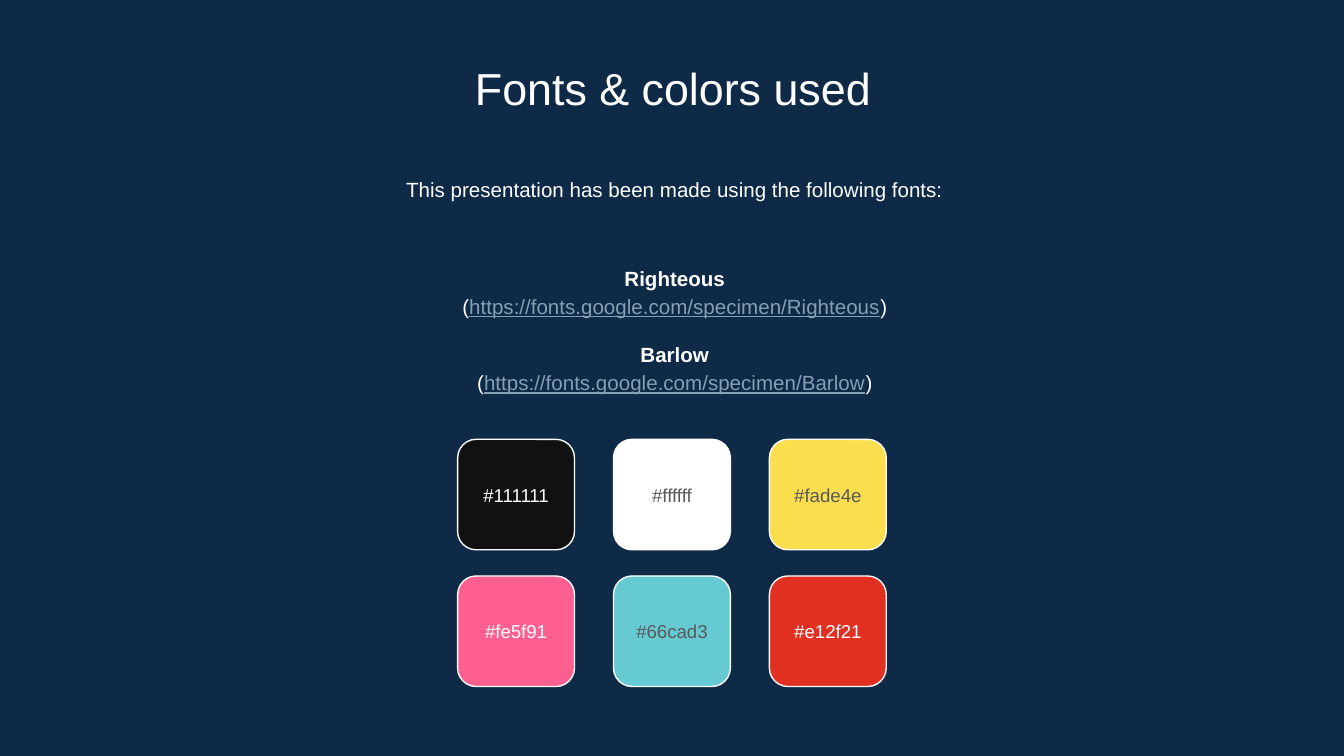
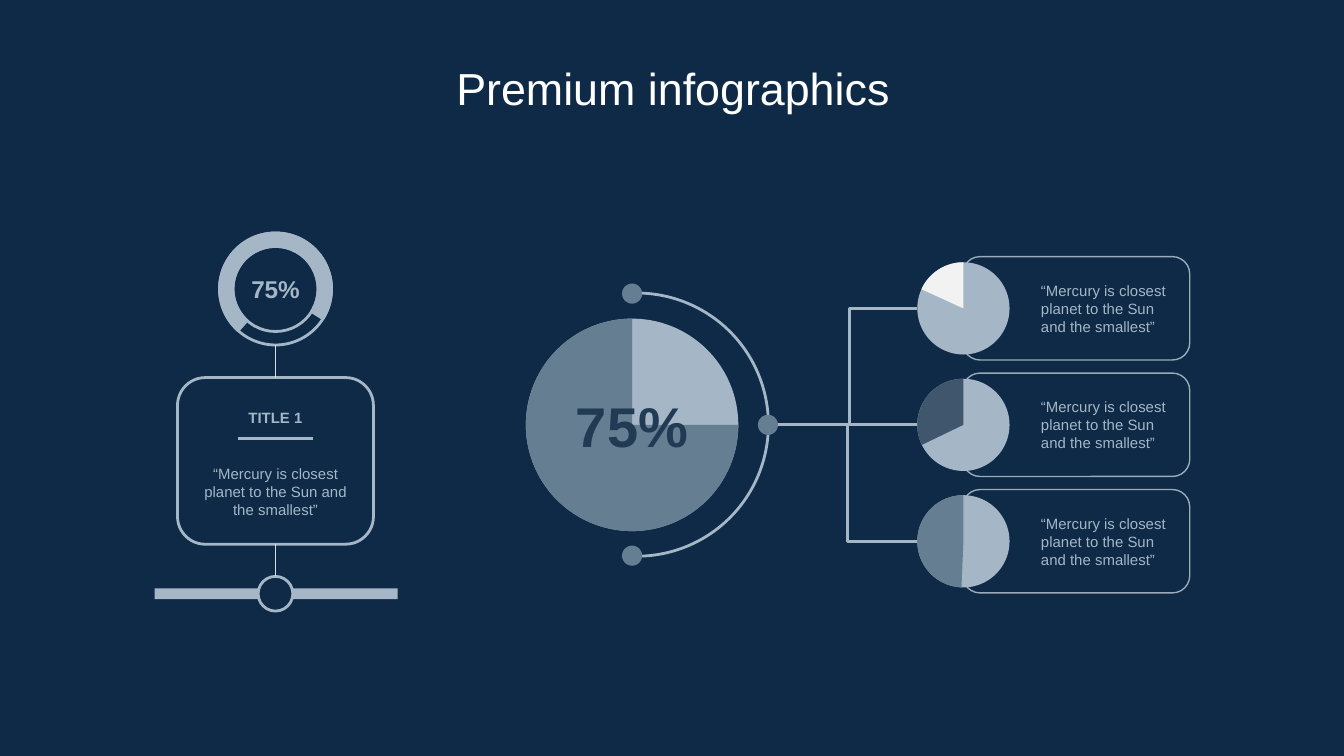
from lxml.etree import SubElement
from pptx import Presentation
from pptx.dml.color import RGBColor
from pptx.enum.shapes import MSO_CONNECTOR as Connector, MSO_SHAPE as Shape
from pptx.enum.text import MSO_ANCHOR as Anchor, MSO_AUTO_SIZE as AutoSize, PP_ALIGN as Align
from pptx.oxml.ns import qn
from pptx.util import Pt

COLORS = {
    "navy": "0E2A47",
    "white": "FFFFFF",
    "gray": "595959",
    "link": "869FB2",
    "mist": "A5B7C6",
    "pale": "D7DFE5",
    "outline": "9BABB9",
    "slate": "667E92",
    "steel": "40566D",
    "ink": "213B55",
    "light": "F2F2F2",
    "swatch black": "111111",
    "swatch yellow": "FADE4E",
    "swatch pink": "FE5F91",
    "swatch teal": "66CAD3",
    "swatch red": "E12F21",
}
RGB = {name: RGBColor.from_string(value) for name, value in COLORS.items()}
QUOTE = "“Mercury is closest planet to the Sun and the smallest”"
TOP = 16200000 / 100000  # twelve o'clock as an angle adjustment
ROUNDING = [0.167]


def add_shape(shapes, kind, box, fill=None, line=None, width=1.5, adjustments=()):
    shape = shapes.add_shape(kind, *map(Pt, box))
    shape.shadow.inherit = False
    for index, value in enumerate(adjustments):
        shape.adjustments[index] = value
    if fill:
        shape.fill.solid()
        shape.fill.fore_color.rgb = RGB[fill]
    else:
        shape.fill.background()
    if line:
        shape.line.color.rgb = RGB[line]
        shape.line.width = Pt(width)
    else:
        shape.line.fill.background()
    return shape


def set_text(shape, paragraphs, size, color, anchor=Anchor.MIDDLE, align=Align.CENTER, spacing=1.0):
    """Fill a shape; each paragraph is (space before, [(text, color or None, font values)])."""
    frame = shape.text_frame
    frame_values = {"word_wrap": True, "auto_size": AutoSize.NONE, "vertical_anchor": anchor}
    for side in ("left", "right", "top", "bottom"):
        frame_values[f"margin_{side}"] = Pt(7.2)
    for name, value in frame_values.items():
        setattr(frame, name, value)
    for index, (space_before, runs) in enumerate(paragraphs):
        paragraph = frame.add_paragraph() if index else frame.paragraphs[0]
        paragraph_values = {"alignment": align, "line_spacing": spacing, "space_before": Pt(space_before)}
        for name, value in paragraph_values.items():
            setattr(paragraph, name, value)
        for text, run_color, font_values in runs:
            run = paragraph.add_run()
            run.text = text
            run.font.color.rgb = RGB[run_color or color]
            for name, value in {"name": "Arial", "size": Pt(size), "bold": False, **font_values}.items():
                setattr(run.font, name, value)


presentation = Presentation()
presentation.slide_width, presentation.slide_height = Pt(720), Pt(405)
background = presentation.slide_master.background.fill
background.solid()
background.fore_color.rgb = RGB["navy"]

slides = []
for title_text in ("Fonts & colors used", "Premium infographics"):
    slide = presentation.slides.add_slide(presentation.slide_layouts[5])
    title = slide.shapes.title
    title.left, title.top, title.width, title.height = map(Pt, (83, 25.2, 555, 38))
    set_text(title, [(0, [(title_text, None, {})])], 24, "white", Anchor.TOP)
    slides.append(slide)
fonts_slide, infographic_slide = slides

# Fonts and colors
intro = fonts_slide.shapes.add_textbox(*map(Pt, (84, 85.7, 555, 34.5)))
intro_text = "This presentation has been made using the following fonts:"
set_text(intro, [(0, [(intro_text, None, {})])], 11, "white", Anchor.TOP, spacing=1.15)

font_lines = []
for font_name in ("Righteous", "Barlow"):
    address = f"https://fonts.google.com/specimen/{font_name}"
    font_lines.append((10.5 if font_lines else 0, [(font_name, None, {"bold": True})]))
    font_lines.append((0, [("(", None, {}), (address, "link", {"underline": True}), (")", None, {})]))
font_list = fonts_slide.shapes.add_textbox(*map(Pt, (84, 126.7, 555, 98.6)))
set_text(font_list, font_lines, 11, "white", spacing=1.15)

swatches = [
    ("swatch black", "white"), ("white", "gray"), ("swatch yellow", "gray"),
    ("swatch pink", "white"), ("swatch teal", "gray"), ("swatch red", "white"),
]
for index, (fill, text_color) in enumerate(swatches):
    row, column = divmod(index, 3)
    box = (245.2 + column * 83.5, 235.4 + row * 73.2, 62.6, 59.2)
    swatch = add_shape(fonts_slide.shapes, Shape.ROUNDED_RECTANGLE, box, fill, "white", 0.75, ROUNDING)
    set_text(swatch, [(0, [(f"#{COLORS[fill].lower()}", None, {})])], 10, text_color)

# Title card with its ring and slider
shapes = infographic_slide.shapes
axis_x, middle_y = 147.6, 227.6
add_shape(shapes, Shape.RECTANGLE, (82.8, 315.2, 130.3, 5.8), "mist")
ring = shapes.add_group_shape().shapes
ring_box = (117.6, 124.8, 60, 60)
add_shape(ring, Shape.DONUT, ring_box, None, "mist", adjustments=[0.12])
add_shape(ring, Shape.BLOCK_ARC, ring_box, "mist", "mist", adjustments=[79.14, 19.26, 0.12])
card_box = (95.1, 202.3, 105, 89.3)
add_shape(shapes, Shape.ROUNDED_RECTANGLE, card_box, None, "mist", adjustments=ROUNDING)
add_shape(shapes, Shape.OVAL, (axis_x - 9.3, 308.8, 18.6, 18.6), "navy", "mist")

# Large pie inside its arc
add_shape(shapes, Shape.ARC, (270.7, 157, 141, 141), None, "mist", adjustments=[TOP, 52.98])

row_pitch = 62.4
side_pies = [(-1, "light", 122.72), (0, "steel", 92.53), (1, "slate", 55.44)]
pies = [((281.7, 170.7, 113.8, 113.8), "slate", 0)]
for row, slice_color, start in side_pies:
    center_y = middle_y + row * row_pitch
    card_box = (515.8, center_y - 27.7, 121.6, 55.4)
    add_shape(shapes, Shape.ROUNDED_RECTANGLE, card_box, None, "outline", 0.75, ROUNDING)
    pies.append(((491.4, center_y - 24.7, 49.4, 49.4), slice_color, start))
for box, slice_color, start in pies:
    pie = shapes.add_group_shape().shapes
    add_shape(pie, Shape.OVAL, box, "mist")
    add_shape(pie, Shape.PIE, box, slice_color, adjustments=[start, TOP])

for center_x, center_y in ((338.6, 157.3), (338.6, 297.7), (411.4, middle_y)):
    add_shape(shapes, Shape.OVAL, (center_x - 5.4, center_y - 5.4, 10.8, 10.8), "slate")

# Lines: kind, start, end, color, width, bend position
lines = [
    (Connector.STRAIGHT, (axis_x, 184.8), (axis_x, 202.3), "pale", 0.75, None),
    (Connector.STRAIGHT, (axis_x, 291.6), (axis_x, 308.8), "pale", 0.75, None),
    (Connector.STRAIGHT, (127.5, 235.1), (167.7, 235.1), "mist", 1.5, None),
]
for row, bend in ((-1, 51500), (1, 50000), (0, 50000)):
    end = (491.4, middle_y + row * row_pitch)
    lines.append((Connector.ELBOW, (416.9, middle_y), end, "mist", 1.5, bend))
for kind, start, end, color, width, bend in lines:
    connector = shapes.add_connector(kind, *map(Pt, start + end))
    connector.line.color.rgb = RGB[color]
    connector.line.width = Pt(width)
    properties = connector._element.spPr
    SubElement(properties, qn("a:effectLst"))
    if bend:
        guides = properties.find(f".//{qn('a:avLst')}")
        SubElement(guides, qn("a:gd"), name="adj1", fmla=f"val {bend}")

# Labels: box, text, size, color, bold, alignment
labels = [
    ((102, 245.5, 91.4, 36), QUOTE, 8, "mist", False, Align.CENTER),
    ((114.5, 215.3, 66.2, 17.3), "TITLE 1", 8, "mist", True, Align.CENTER),
    ((124.9, 140.4, 45.4, 28.8), "75%", 13, "mist", True, Align.CENTER),
    ((299.3, 203, 78.5, 49.7), "75%", 30, "ink", True, Align.CENTER),
]
for row in (-1, 0, 1):
    box = (550.6, middle_y + row * row_pitch - 17.3, 89.3, 34.6)
    labels.append((box, QUOTE, 8, "mist", False, Align.LEFT))
for box, text, size, color, bold, align in labels:
    label = shapes.add_textbox(*map(Pt, box))
    set_text(label, [(0, [(text, None, {"bold": bold})])], size, color, align=align)

presentation.save("out.pptx")
